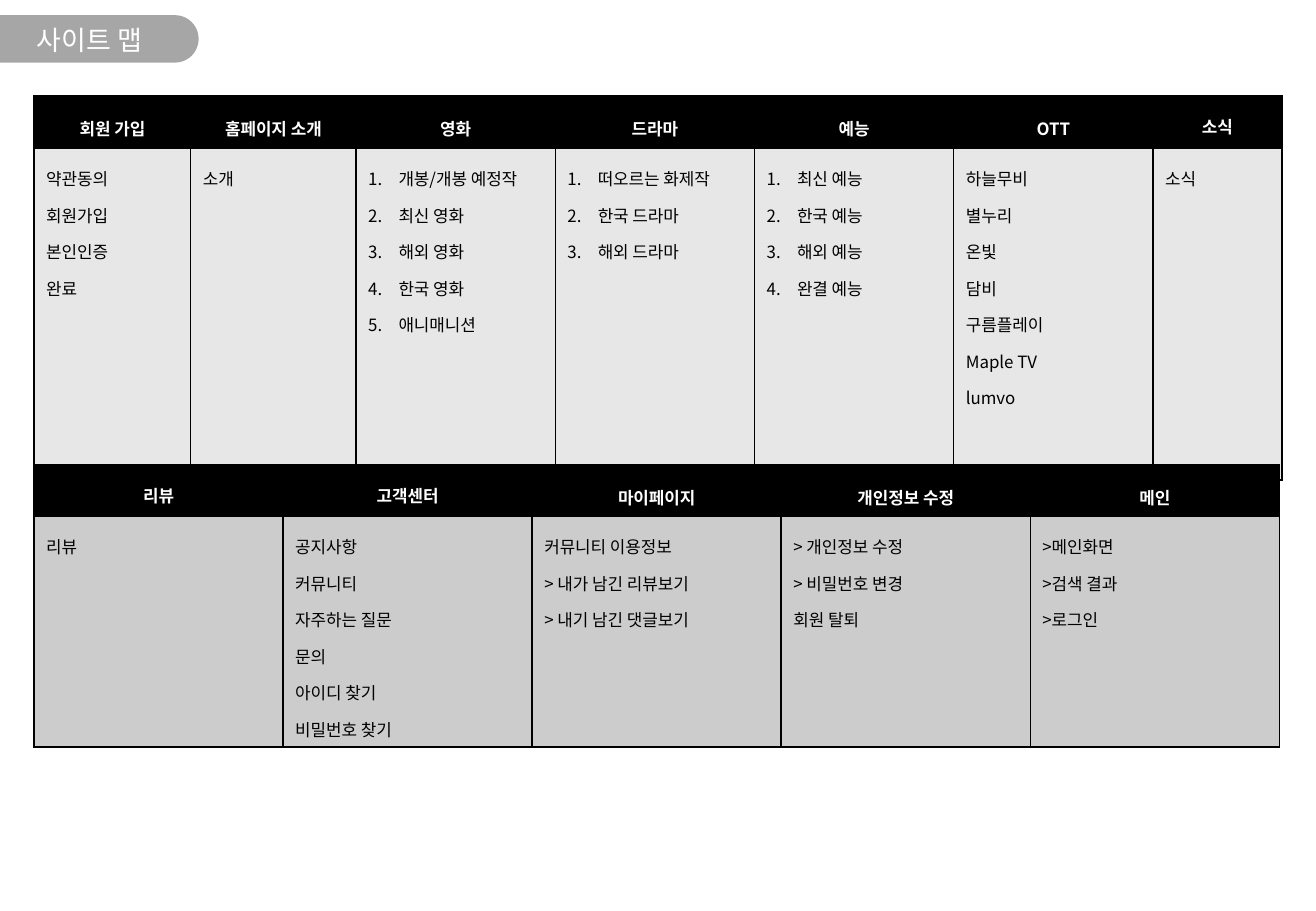
from lxml import etree
from pptx import Presentation
from pptx import util as u
from pptx.dml.color import RGBColor
from pptx.enum import shapes, text
from pptx.oxml import ns

FONT = "Noto Sans CJK KR"
BLACK = RGBColor(0x00, 0x00, 0x00)
WHITE = RGBColor(0xFF, 0xFF, 0xFF)
TAB_GRAY = RGBColor(0xA6, 0xA6, 0xA6)
LIGHT_GRAY = RGBColor(0xE7, 0xE7, 0xE7)
MID_GRAY = RGBColor(0xCC, 0xCC, 0xCC)

TOP, MIDDLE = text.MSO_ANCHOR.TOP, text.MSO_ANCHOR.MIDDLE

# Each column: heading, heading anchor, numbered list or not, entries
CONTENT_MENUS = [
    ("회원 가입", MIDDLE, False, ["약관동의", "회원가입", "본인인증", "완료"]),
    ("홈페이지 소개", MIDDLE, False, ["소개"]),
    ("영화", MIDDLE, True,
     ["개봉/개봉 예정작", "최신 영화", "해외 영화", "한국 영화", "애니매니션"]),
    ("드라마", MIDDLE, True, ["떠오르는 화제작", "한국 드라마", "해외 드라마"]),
    ("예능", MIDDLE, True, ["최신 예능", "한국 예능", "해외 예능", "완결 예능"]),
    ("OTT", MIDDLE, False,
     ["하늘무비", "별누리", "온빛", "담비", "구름플레이", "Maple TV", "lumvo"]),
    ("소식", TOP, False, ["소식"]),
]
SERVICE_MENUS = [
    ("리뷰", TOP, False, ["리뷰"]),
    ("고객센터", TOP, False,
     ["공지사항", "커뮤니티", "자주하는 질문", "문의", "아이디 찾기", "비밀번호 찾기"]),
    ("마이페이지", MIDDLE, False,
     ["커뮤니티 이용정보", "> 내가 남긴 리뷰보기", "> 내기 남긴 댓글보기"]),
    ("개인정보 수정", MIDDLE, False, ["> 개인정보 수정", "> 비밀번호 변경", "회원 탈퇴"]),
    ("메인", MIDDLE, False, [">메인화면", ">검색 결과", ">로그인"]),
]


def format_runs(paragraph, size, color, bold=False):
    for run in paragraph.runs:
        run.font.name = FONT
        run.font.size = u.Pt(size)
        run.font.bold = bold
        run.font.color.rgb = color
        east_asian = etree.SubElement(run.font._element, ns.qn("a:ea"))
        east_asian.set("typeface", FONT)


def number_paragraph(paragraph):
    properties = paragraph._p.get_or_add_pPr()
    properties.set("marL", str(u.Inches(0.25)))
    properties.set("indent", str(-u.Inches(0.25)))
    numbering = etree.SubElement(properties, ns.qn("a:buAutoNum"))
    numbering.set("type", "arabicPeriod")


def add_borders(cell):
    properties = cell._tc.get_or_add_tcPr()
    for position, side in enumerate(("lnL", "lnR", "lnT", "lnB")):
        line = etree.Element(ns.qn(f"a:{side}"), w=str(u.Pt(1)))
        fill = etree.SubElement(line, ns.qn("a:solidFill"))
        etree.SubElement(fill, ns.qn("a:srgbClr"), val=str(BLACK))
        properties.insert(position, line)


def fill_cell(cell, lines, fill, color, anchor=TOP, heading=False, numbered=False):
    cell.fill.solid()
    cell.fill.fore_color.rgb = fill
    cell.vertical_anchor = anchor
    add_borders(cell)
    cell.text_frame.text = "\n".join(lines)
    for paragraph in cell.text_frame.paragraphs:
        if numbered:
            number_paragraph(paragraph)
        paragraph.alignment = text.PP_ALIGN.CENTER if heading else text.PP_ALIGN.LEFT
        paragraph.line_spacing = 1.5
        format_runs(paragraph, 10, color, bold=heading)


def add_menu_table(slide, top, widths, heights, menus, body_fill):
    frame = slide.shapes.add_table(
        2, len(menus), u.Inches(0.28), u.Inches(top),
        u.Inches(sum(widths)), u.Inches(sum(heights)))
    table = frame.table
    table.first_row = table.horz_banding = False
    for row, height in zip(table.rows, heights):
        row.height = u.Inches(height)
    for index, (heading, anchor, numbered, entries) in enumerate(menus):
        table.columns[index].width = u.Inches(widths[index])
        fill_cell(table.cell(0, index), [heading], BLACK, WHITE, anchor, heading=True)
        fill_cell(table.cell(1, index), entries, body_fill, BLACK, numbered=numbered)


def add_title(slide, title):
    # Tab rounded on its right end
    tab = slide.shapes.add_shape(
        shapes.MSO_SHAPE.ROUND_2_SAME_RECTANGLE,
        u.Inches(0.62), u.Inches(-0.5), u.Inches(0.39), u.Inches(1.64))
    tab.rotation = 270
    tab.adjustments[0] = 0
    tab.adjustments[1] = 0.5
    tab.shadow.inherit = False
    tab.fill.solid()
    tab.fill.fore_color.rgb = TAB_GRAY
    tab.line.fill.background()

    # Title text
    box = slide.shapes.add_textbox(
        u.Inches(-0.01), u.Inches(0.13), u.Inches(1.49), u.Inches(0.39))
    frame = box.text_frame
    frame.word_wrap = True
    frame.vertical_anchor = MIDDLE
    frame.text = title
    paragraph = frame.paragraphs[0]
    paragraph.alignment = text.PP_ALIGN.CENTER
    format_runs(paragraph, 16, WHITE)


def main():
    presentation = Presentation()
    presentation.slide_width = u.Inches(10.83)
    presentation.slide_height = u.Inches(7.5)
    slide = presentation.slides.add_slide(presentation.slide_layouts[6])

    add_title(slide, "사이트 맵")

    # Content menus above, service menus below
    add_menu_table(slide, 0.79, [1.29, 1.36] + [1.64] * 4 + [1.06], [0.43, 2.73],
                   CONTENT_MENUS, LIGHT_GRAY)
    add_menu_table(slide, 3.83, [2.05] * 5, [0.42, 1.9], SERVICE_MENUS, MID_GRAY)

    presentation.save("out.pptx")


if __name__ == "__main__":
    main()
